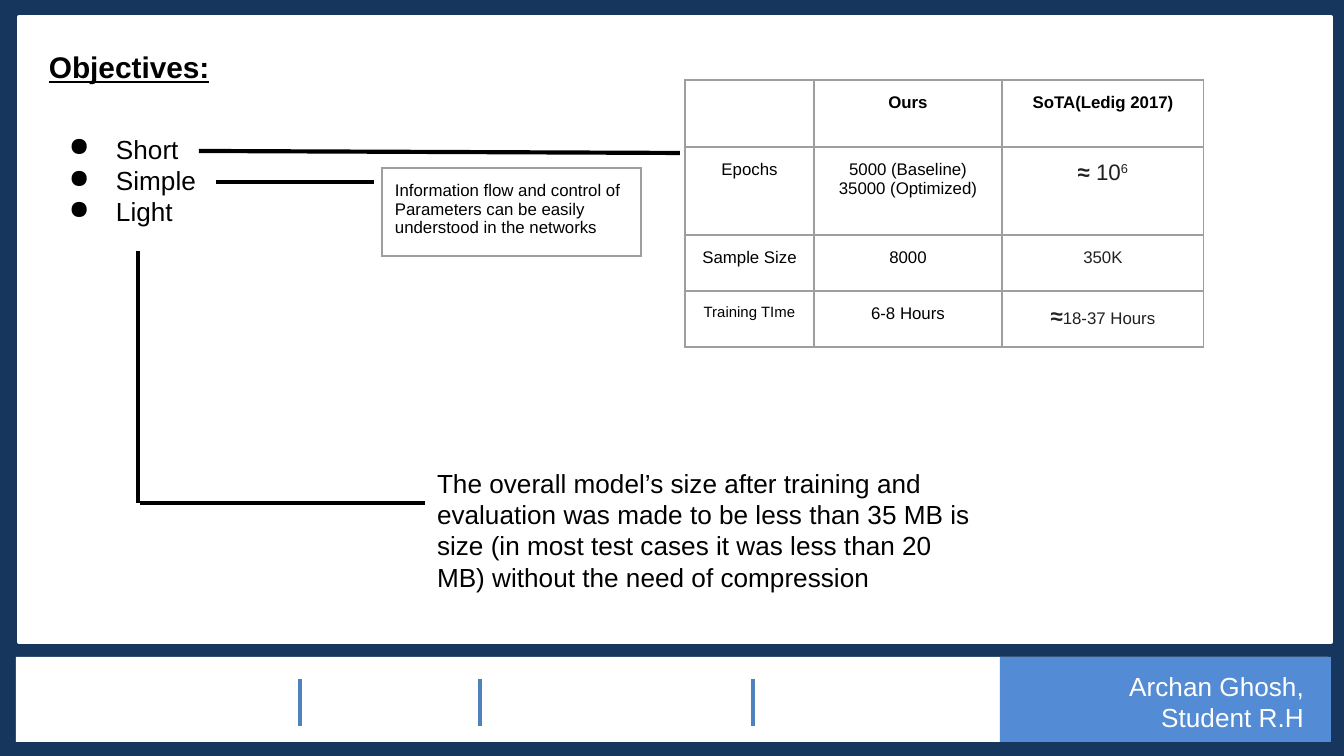
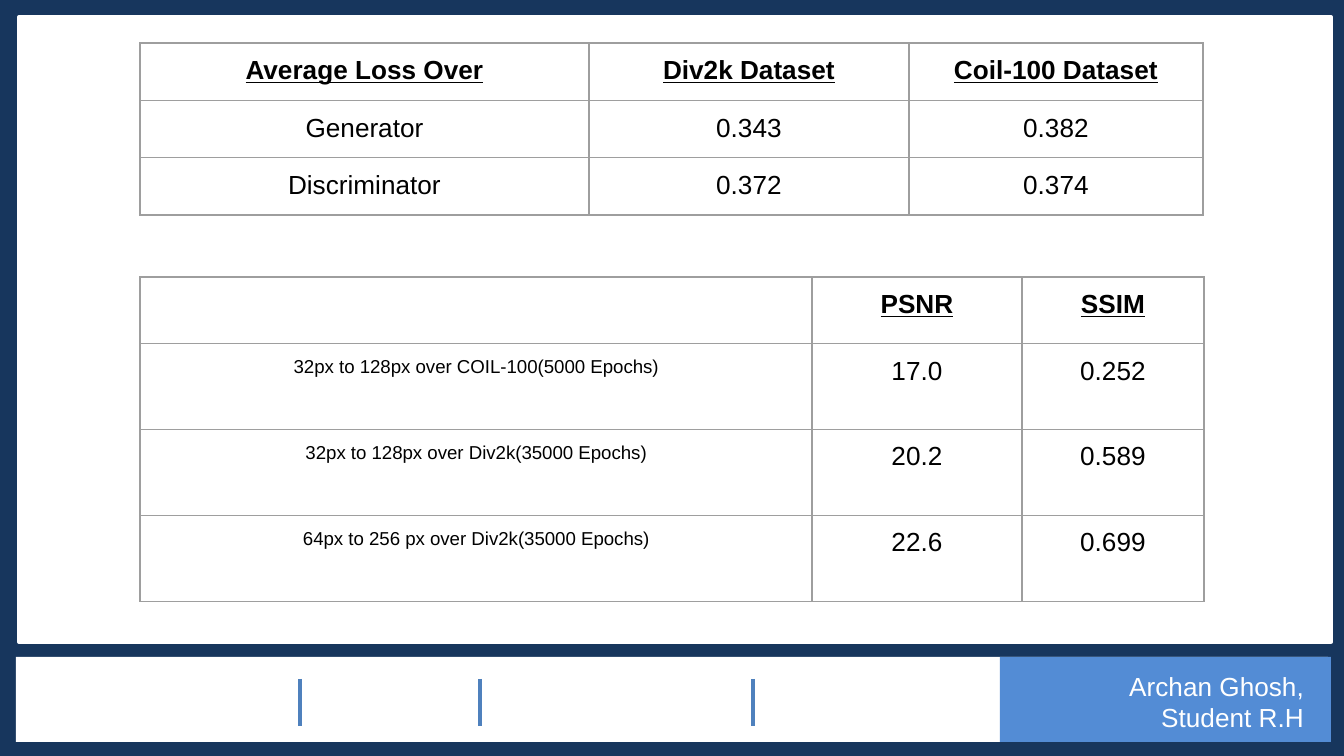
from dataclasses import dataclass

from lxml import etree
from pptx import Presentation
from pptx.dml.color import RGBColor
from pptx.enum.shapes import MSO_CONNECTOR, MSO_SHAPE
from pptx.enum.text import PP_ALIGN
from pptx.oxml.ns import qn
from pptx.util import Emu, Pt

RECT = MSO_SHAPE.RECTANGLE
STRAIGHT = MSO_CONNECTOR.STRAIGHT
LEFT, CENTER, RIGHT = PP_ALIGN.LEFT, PP_ALIGN.CENTER, PP_ALIGN.RIGHT
EMU_PER_PX = 914400 / 134.4


def px(n):
    return Emu(round(n * EMU_PER_PX))


@dataclass(frozen=True)
class Style:
    size: int
    color: str = "000000"
    bold: bool = False
    underline: bool = False
    raised: bool = False


class Theme:
    font = "Arial"
    navy, white, blue, badge = "17365D", "FFFFFF", "4F81BD", "538CD5"
    black, grid = "000000", "9E9E9E"
    divider_pt, pointer_pt, grid_pt = 2, 2.25, 0.75
    inset = 13
    title = Style(16, bold=True, underline=True)
    body = Style(14)
    heading = Style(14, bold=True, underline=True)
    author = Style(14, white)
    label = Style(10)
    small = Style(9)
    small_bold = Style(9, bold=True)
    tiny = Style(8)
    quoted = Style(9, "202124")
    approx = Style(12, "202124", bold=True)
    power = Style(12, "202124")
    exponent = Style(12, "202124", raised=True)


@dataclass(frozen=True)
class Box:
    x: int
    y: int
    w: int
    h: int

    def inner(self, dx, dy, w, h):
        return Box(self.x + dx, self.y + dy, w, h)

    def emu(self):
        return [px(n) for n in (self.x, self.y, self.w, self.h)]


SLIDE = Box(0, 0, 1344, 756)
PANEL = Box(19, 17, 1312, 625)
FOOTER = Box(16, 657, 1312, 85)


def set_font(font, style):
    font.name = Theme.font
    font.size = Pt(style.size)
    font.bold = style.bold
    font.underline = style.underline
    font.color.rgb = RGBColor.from_string(style.color)


def write(p, runs, align):
    """Fill a paragraph with (text, style) runs; newlines become line breaks."""
    p.alignment = align
    if len(runs) == 1:
        set_font(p.font, runs[0][1])
    for text, style in runs:
        for i, line in enumerate(text.split("\n")):
            if i:
                p.add_line_break()
            r = p.add_run()
            r.text = line
            if len(runs) > 1:
                set_font(r.font, style)
            if style.raised:
                r.font._element.set("baseline", "30000")


def set_insets(frame, x, y):
    frame.margin_left = frame.margin_right = px(x)
    frame.margin_top = frame.margin_bottom = px(y)


def add_rect(slide, box, fill, line=None):
    sp = slide.shapes.add_shape(RECT, *box.emu())
    sp.shadow.inherit = False
    sp.fill.solid()
    sp.fill.fore_color.rgb = RGBColor.from_string(fill)
    if line:
        sp.line.color.rgb = RGBColor.from_string(line)
        sp.line.width = Pt(Theme.divider_pt)
    else:
        sp.line.fill.background()


def add_line(slide, box, start, end, color, width):
    """Join two points given relative to the box."""
    (x1, y1), (x2, y2) = start, end
    c = slide.shapes.add_connector(STRAIGHT, px(box.x + x1), px(box.y + y1),
                                   px(box.x + x2), px(box.y + y2))
    c.line.color.rgb = RGBColor.from_string(color)
    c.line.width = Pt(width)
    etree.SubElement(c._element.spPr, qn("a:effectLst"))


def add_text(slide, box, lines, style, align=LEFT, inset_y=Theme.inset):
    tf = slide.shapes.add_textbox(*box.emu()).text_frame
    tf.word_wrap = True
    set_insets(tf, Theme.inset, inset_y)
    for i, line in enumerate(lines):
        p = tf.add_paragraph() if i else tf.paragraphs[0]
        write(p, [(line, style)], align)
    return tf


def add_bullets(tf):
    for p in tf.paragraphs:
        ppr = p._p.get_or_add_pPr()
        ppr.set("marL", str(px(67)))
        ppr.set("indent", str(px(-47)))
        bullet = etree.Element(qn("a:buChar"), char="●")
        ppr.insert(0, bullet)


def set_borders(cell):
    tcpr = cell._tc.get_or_add_tcPr()
    for side in ("lnL", "lnR", "lnT", "lnB"):
        ln = etree.SubElement(tcpr, qn(f"a:{side}"), w=str(Pt(Theme.grid_pt)))
        fill = etree.SubElement(ln, qn("a:solidFill"))
        etree.SubElement(fill, qn("a:srgbClr"), val=Theme.grid)


def add_grid(slide, box, origin, cols, rows, cells, align=CENTER):
    """Draw a bordered table; each cell is a list of (text, style) runs."""
    place = box.inner(*origin, sum(cols), sum(rows))
    table = slide.shapes.add_table(len(rows), len(cols), *place.emu()).table
    table.first_row = table.horz_banding = False
    for col, width in zip(table.columns, cols):
        col.width = px(width)
    for row, height, contents in zip(table.rows, rows, cells):
        row.height = px(height)
        for cell, runs in zip(row.cells, contents):
            set_insets(cell, Theme.inset, Theme.inset)
            set_borders(cell)
            cell.fill.background()
            write(cell.text_frame.paragraphs[0], runs, align)


def styled(style, *texts):
    """One single-run cell for each text."""
    return [[(text, style)] for text in texts]


def footer(slide, box):
    add_rect(slide, box, Theme.white)
    for x in (284, 464, 737):
        add_line(slide, box, (x, 22), (x, 69), Theme.blue, Theme.divider_pt)
    badge = box.inner(984, 0, 331, box.h)
    add_rect(slide, badge, Theme.badge)
    add_text(slide, badge.inner(21, 6, 296, 75), ["Archan Ghosh, Student R.H"],
             Theme.author, RIGHT, inset_y=7)


def framed_slide(prs):
    slide = prs.slides.add_slide(prs.slide_layouts[6])
    add_rect(slide, SLIDE, Theme.navy)
    add_rect(slide, PANEL, Theme.white, Theme.white)
    footer(slide, FOOTER)
    return slide


def training_table(slide, box, origin):
    t = Theme
    cells = [
        [[]] + styled(t.small_bold, "Ours", "SoTA(Ledig 2017)"),
        styled(t.small, "Epochs", "5000 (Baseline)\n35000 (Optimized)")
        + [[("≈", t.approx), (" 10", t.power), ("6", t.exponent)]],
        styled(t.small, "Sample Size", "8000") + styled(t.quoted, "350K"),
        styled(t.tiny, "Training TIme") + styled(t.small, "6-8 Hours")
        + [[("≈", t.approx), ("18-37 Hours", t.quoted)]],
    ]
    add_grid(slide, box, origin, [129, 188, 202], [67, 88, 56, 56], cells)


def objectives(slide, box):
    add_text(slide, box.inner(17, 19, 739, 63), ["Objectives:"], Theme.title)
    add_bullets(add_text(slide, box.inner(17, 103, 499, 122),
                         ["Short", "Simple", "Light"], Theme.body))
    pointers = [
        ((180, 134), (661, 136)),
        ((197, 165), (355, 165)),
        ((119, 234), (119, 486)),
        ((121, 486), (406, 486)),
    ]
    for start, end in pointers:
        add_line(slide, box, start, end, Theme.black, Theme.pointer_pt)
    training_table(slide, box, (666, 63))
    note = styled(Theme.small, "Information flow and control of Parameters "
                  "can be easily understood in the networks")
    add_grid(slide, box, (363, 151), [259], [88], [note], LEFT)
    add_text(slide, box.inner(405, 437, 569, 153),
             ["The overall model’s size after training and evaluation was made "
              "to be less than 35 MB is size (in most test cases it was less "
              "than 20 MB) without the need of compression"], Theme.body)


def results(slide, box):
    losses = [
        styled(Theme.heading, "Average Loss Over", "Div2k Dataset", "Coil-100 Dataset"),
        styled(Theme.body, "Generator", "0.343", "0.382"),
        styled(Theme.body, "Discriminator", "0.372", "0.374"),
    ]
    add_grid(slide, box, (121, 26), [449, 320, 294], [56] * 3, losses)

    scores = [
        ("32px to 128px over COIL-100(5000 Epochs)", "17.0", "0.252"),
        ("32px to 128px over Div2k(35000 Epochs)", "20.2", "0.589"),
        ("64px to 256 px over Div2k(35000 Epochs)", "22.6", "0.699"),
    ]
    quality = [[[]] + styled(Theme.heading, "PSNR", "SSIM")]
    quality += [styled(Theme.label, name) + styled(Theme.body, *values)
                for name, *values in scores]
    add_grid(slide, box, (121, 260), [672, 210, 182], [64] + [86] * 3, quality)


def main():
    prs = Presentation()
    prs.slide_width, prs.slide_height = px(SLIDE.w), px(SLIDE.h)
    for fill_panel in (objectives, results):
        fill_panel(framed_slide(prs), PANEL)
    prs.save("out.pptx")


if __name__ == "__main__":
    main()
